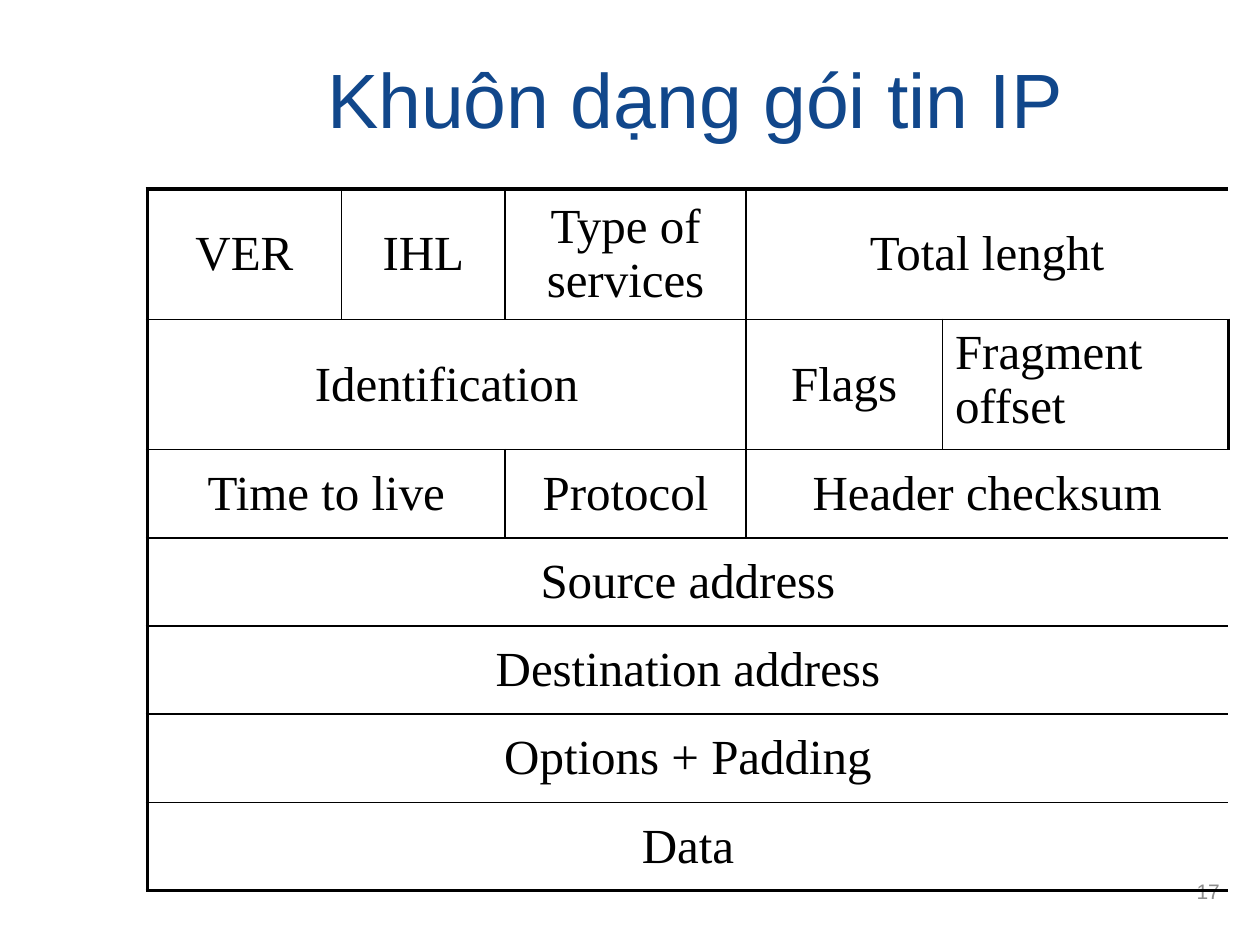
from dataclasses import dataclass

from lxml.etree import SubElement
from pptx import Presentation
from pptx.dml.color import RGBColor
from pptx.enum.text import MSO_ANCHOR, PP_ALIGN
from pptx.oxml import parse_xml
from pptx.oxml.ns import nsdecls, qn
from pptx.util import Inches, Pt

BLACK = RGBColor(0, 0, 0)
BLUE = RGBColor(0x11, 0x47, 0x8B)
GRAY = RGBColor(0x8C, 0x8C, 0x8C)
WIDTH, HEIGHT = Inches(10), Inches(7.5)
COLUMNS = [1.54, 1.3, 1.91, 1.56, 2.27]
ROWS = [1.03] * 2 + [0.7] * 5
OUTER, INNER = 2.25, 1


@dataclass(frozen=True)
class Field:
    text: str
    span: int = 1
    align: PP_ALIGN = PP_ALIGN.CENTER
    anchor: MSO_ANCHOR = MSO_ANCHOR.MIDDLE


HEADER = [
    [Field("VER"), Field("IHL"), Field("Type of services"), Field("Total lenght", 2)],
    [Field("Identification", 3), Field("Flags"),
     Field("Fragment offset", align=PP_ALIGN.LEFT, anchor=MSO_ANCHOR.TOP)],
    [Field("Time to live", 2), Field("Protocol"), Field("Header checksum", 2)],
    [Field("Source address", 5)],
    [Field("Destination address", 5)],
    [Field("Options + Padding", 5)],
    [Field("Data", 5)],
]


def place(shape, left: float, top: float, width: float, height: float) -> None:
    """Position a shape by shares of the slide's size."""
    shape.left, shape.width = int(left * WIDTH), int(width * WIDTH)
    shape.top, shape.height = int(top * HEIGHT), int(height * HEIGHT)


def write(tf, text: str, size: float, font: str, color: RGBColor, align: PP_ALIGN) -> None:
    p = tf.paragraphs[0]
    p.text = text
    p.alignment = align
    p.font.size, p.font.name = Pt(size), font
    p.font.color.rgb = color


def set_borders(cell, widths: dict[str, float]) -> None:
    """Draw the cell's sides; a width of 0 hides that side."""
    tc_pr = cell._tc.get_or_add_tcPr()
    for i, (side, width) in enumerate(widths.items()):
        ln = parse_xml(f'<a:ln{side} {nsdecls("a")} w="{Pt(width)}"/>')
        if width:
            fill = SubElement(ln, qn("a:solidFill"))
            SubElement(fill, qn("a:srgbClr"), val=str(BLACK))
        else:
            SubElement(ln, qn("a:noFill"))
        tc_pr.insert(i, ln)


def add_field(table, row: int, col: int, field: Field) -> None:
    end = col + field.span - 1
    for c in range(col, end + 1):
        cell = table.cell(row, c)
        cell.fill.background()
        set_borders(cell, {
            "L": OUTER if c == 0 else INNER if c == col else 0,
            "R": OUTER if c == len(COLUMNS) - 1 else INNER if c == end else 0,
            "T": OUTER if row == 0 else INNER,
            "B": OUTER if row == len(ROWS) - 1 else INNER,
        })
    cell = table.cell(row, col)
    if field.span > 1:
        cell.merge(table.cell(row, end))
    cell.vertical_anchor = field.anchor
    write(cell.text_frame, field.text, 28, "Times New Roman", BLACK, field.align)


def add_header_table(s) -> None:
    frame = s.shapes.add_table(len(ROWS), len(COLUMNS), Inches(1.17), Inches(1.5),
                               Inches(sum(COLUMNS)), Inches(sum(ROWS)))
    table = frame.table
    table.first_row = table.horz_banding = False
    for column, width in zip(table.columns, COLUMNS):
        column.width = Inches(width)
    for row, height in zip(table.rows, ROWS):
        row.height = Inches(height)
    for r, fields in enumerate(HEADER):
        col = 0
        for field in fields:
            add_field(table, r, col, field)
            col += field.span


def main() -> None:
    prs = Presentation()
    prs.slide_width, prs.slide_height = WIDTH, HEIGHT
    s = prs.slides.add_slide(prs.slide_layouts[5])

    title = s.shapes.title
    place(title, 0.126, 0.03, 0.852, 0.147)
    title.text_frame.vertical_anchor = MSO_ANCHOR.MIDDLE
    write(title.text_frame, "Khuôn dạng gói tin IP", 44, "Arial", BLUE, PP_ALIGN.CENTER)

    number = s.shapes.add_textbox(0, 0, 0, 0)
    place(number, 0.77, 0.91, 0.208, 0.067)
    number.text_frame.word_wrap = True
    number.text_frame.vertical_anchor = MSO_ANCHOR.MIDDLE
    write(number.text_frame, "17", 12, "Arial", GRAY, PP_ALIGN.RIGHT)

    add_header_table(s)
    prs.save("out.pptx")


if __name__ == "__main__":
    main()
